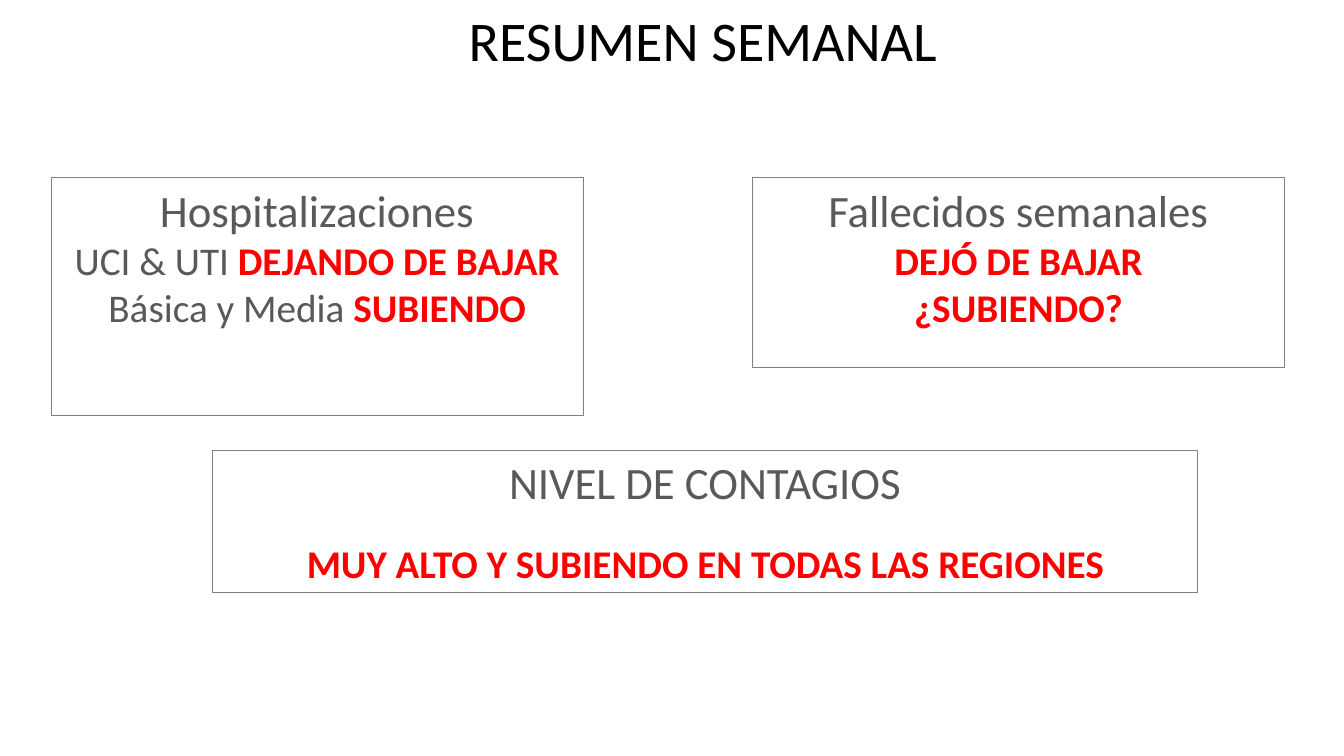
from dataclasses import dataclass

from pptx import Presentation
from pptx.dml.color import RGBColor
from pptx.enum.shapes import MSO_SHAPE as Shape
from pptx.enum.text import MSO_ANCHOR as Anchor, MSO_AUTO_SIZE as AutoSize, PP_ALIGN as Align
from pptx.slide import Slide
from pptx.util import Pt


@dataclass(frozen=True)
class Theme:
    font: str = "Calibri"
    ink: RGBColor = RGBColor(0x00, 0x00, 0x00)
    muted: RGBColor = RGBColor(0x59, 0x59, 0x59)
    alert: RGBColor = RGBColor(0xFF, 0x00, 0x00)
    border: RGBColor = RGBColor(0x80, 0x80, 0x80)
    border_width: float = 0.75
    title_size: float = 40
    heading_size: float = 32
    status_size: float = 28


@dataclass(frozen=True)
class Status:
    topic: str
    trend: str
    space_before: float = 0


@dataclass(frozen=True)
class Panel:
    heading: str
    statuses: tuple[Status, ...]
    left: float
    top: float
    width: float
    height: float


THEME = Theme()
UPPER_TOP = 127
UPPER_WIDTH = 380
PANELS = (
    Panel(
        "Hospitalizaciones",
        (Status("UCI & UTI ", "DEJANDO DE BAJAR"), Status("Básica y Media ", "SUBIENDO")),
        36.5, UPPER_TOP, UPPER_WIDTH, 170,
    ),
    Panel(
        "Fallecidos semanales",
        (Status("", "DEJÓ DE BAJAR"), Status("", "¿SUBIENDO?")),
        537.5, UPPER_TOP, UPPER_WIDTH, 135.5,
    ),
    Panel(
        "NIVEL DE CONTAGIOS",
        (Status("", "MUY ALTO Y SUBIENDO EN TODAS LAS REGIONES", space_before=22),),
        152, 321.5, 703.5, 101.5,
    ),
)


def format_title(slide: Slide, text: str) -> None:
    title = slide.shapes.title
    title.left, title.top = Pt(327.6), Pt(0)
    title.width, title.height = Pt(352), Pt(55.5)
    frame = title.text_frame
    frame.text = text
    frame.word_wrap = False
    frame.auto_size = AutoSize.NONE
    frame.vertical_anchor = Anchor.TOP
    heading = frame.paragraphs[0]
    heading.alignment = Align.LEFT
    heading.font.name = THEME.font
    heading.font.size = Pt(THEME.title_size)
    heading.font.color.rgb = THEME.ink


def add_panel(slide: Slide, panel: Panel) -> None:
    box = slide.shapes.add_shape(
        Shape.RECTANGLE, Pt(panel.left), Pt(panel.top), Pt(panel.width), Pt(panel.height)
    )
    box.shadow.inherit = False
    box.fill.background()
    box.line.color.rgb = THEME.border
    box.line.width = Pt(THEME.border_width)
    frame = box.text_frame
    frame.word_wrap = True
    frame.vertical_anchor = Anchor.TOP

    heading = frame.paragraphs[0]
    heading.text = panel.heading
    heading.font.size = Pt(THEME.heading_size)
    heading.font.color.rgb = THEME.muted

    for status in panel.statuses:
        line = frame.add_paragraph()
        line.space_before = Pt(status.space_before)
        line.font.size = Pt(THEME.status_size)
        if status.topic:
            topic = line.add_run()
            topic.text = status.topic
            topic.font.color.rgb = THEME.muted
        trend = line.add_run()
        trend.text = status.trend
        emphasis = trend.font if status.topic else line.font
        emphasis.bold = True
        emphasis.color.rgb = THEME.alert

    for paragraph in frame.paragraphs:
        paragraph.alignment = Align.CENTER
        paragraph.font.name = THEME.font


def main() -> None:
    deck = Presentation()
    deck.slide_width, deck.slide_height = Pt(960), Pt(540)
    slide = deck.slides.add_slide(deck.slide_layouts.get_by_name("Title Only"))
    format_title(slide, "RESUMEN SEMANAL")
    for panel in PANELS:
        add_panel(slide, panel)
    deck.save("out.pptx")


if __name__ == "__main__":
    main()
